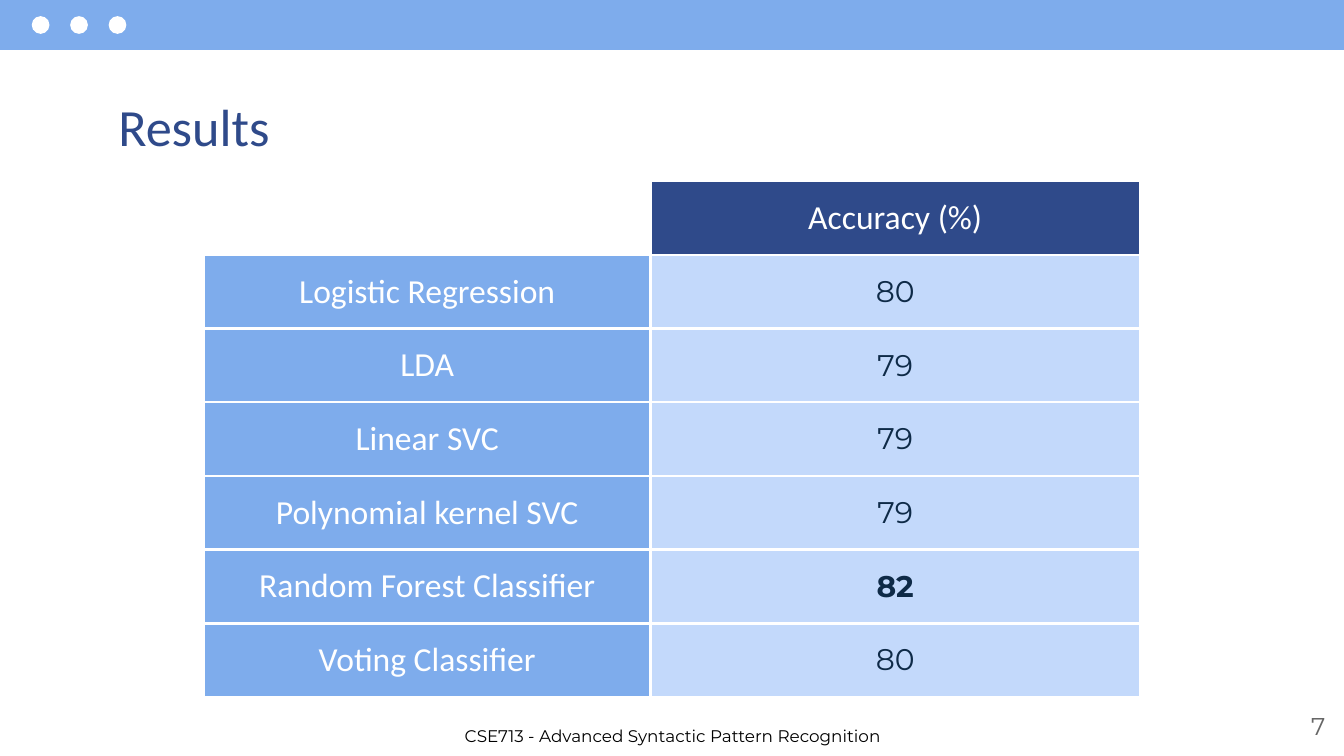
import dataclasses

import pptx
import pptx.dml.color
import pptx.enum.shapes
import pptx.enum.text
import pptx.oxml
import pptx.oxml.ns
import pptx.util
from pptx.util import Pt

ALIGN = pptx.enum.text.PP_ALIGN
ANCHOR = pptx.enum.text.MSO_ANCHOR
SHAPE = pptx.enum.shapes.MSO_SHAPE


@dataclasses.dataclass(frozen=True)
class Theme:
    white: str = "FFFFFF"
    black: str = "000000"
    sky: str = "7EACEC"
    pale: str = "C3D9FB"
    navy: str = "2F4A8A"
    ink: str = "0E2A47"
    grey: str = "666666"
    heading: str = "Calibri"
    body: str = "Montserrat"
    title_size: float = 28
    label_size: float = 18
    value_size: float = 16
    number_size: float = 13
    footer_size: float = 9
    inset: float = 7.2
    border: float = 1.5


THEME = Theme()
RESULTS = [
    ("Logistic Regression", 80),
    ("LDA", 79),
    ("Linear SVC", 79),
    ("Polynomial kernel SVC", 79),
    ("Random Forest Classifier", 82),
    ("Voting Classifier", 80),
]


def rgb(color):
    return pptx.dml.color.RGBColor.from_string(color)


def write(tf, text, font, size, color, align=ALIGN.LEFT, bold=False):
    tf.text = text
    p = tf.paragraphs[0]
    p.alignment = align
    r = p.runs[0]
    r.font.name = font
    r.font.size = Pt(size)
    r.font.bold = bold
    r.font.color.rgb = rgb(color)


def set_insets(target):
    for side in ("left", "top", "right", "bottom"):
        setattr(target, f"margin_{side}", Pt(THEME.inset))


def add_text(s, box, *args, **kwargs):
    sp = s.shapes.add_textbox(*map(Pt, box))
    tf = sp.text_frame
    tf.word_wrap = True
    set_insets(tf)
    write(tf, *args, **kwargs)


def add_filled(s, kind, box, color):
    sp = s.shapes.add_shape(kind, *map(Pt, box))
    sp.shadow.inherit = False
    sp.fill.solid()
    sp.fill.fore_color.rgb = rgb(color)
    sp.line.fill.background()


def add_window_bar(s, left, top, width, height):
    add_filled(s, SHAPE.RECTANGLE, (left, top, width, height), THEME.sky)
    dot, pitch = 9.5, 20.6
    for i in range(3):
        box = (left + 17 + i * pitch, top + (height - dot) / 2, dot, dot)
        add_filled(s, SHAPE.OVAL, box, THEME.white)


def add_title(s, left, top, width, height, text):
    sp = s.shapes.title
    sp.left, sp.top, sp.width, sp.height = map(Pt, (left, top, width, height))
    tf = sp.text_frame
    tf.vertical_anchor = ANCHOR.TOP
    tf.auto_size = pptx.enum.text.MSO_AUTO_SIZE.NONE
    set_insets(tf)
    write(tf, text, THEME.heading, THEME.title_size, THEME.navy)


def add_borders(cell):
    tc_pr = cell._tc.get_or_add_tcPr()
    for i, edge in enumerate(("lnL", "lnR", "lnT", "lnB")):
        tc_pr.insert(i, pptx.oxml.parse_xml(
            f'<a:{edge} {pptx.oxml.ns.nsdecls("a")} w="{Pt(THEME.border)}">'
            f'<a:solidFill><a:srgbClr val="{THEME.white}"/></a:solidFill></a:{edge}>'))


def style_cell(cell, text, fill, font, size, color, bold=False):
    cell.vertical_anchor = ANCHOR.MIDDLE
    set_insets(cell)
    cell.fill.solid()
    cell.fill.fore_color.rgb = rgb(fill)
    write(cell.text_frame, text, font, size, color, ALIGN.CENTER, bold)


def add_results_table(s, left, top, width, height, results):
    rows = len(results) + 1
    table = s.shapes.add_table(rows, 2, *map(Pt, (left, top, width, height))).table
    table.first_row = table.horz_banding = False
    label_width = 239
    table.columns[0].width = Pt(label_width)
    table.columns[1].width = Pt(width - label_width)
    for row in table.rows:
        row.height = Pt(height / rows)

    label = (THEME.heading, THEME.label_size, THEME.white)
    value = (THEME.body, THEME.value_size, THEME.ink)
    best = max(score for _, score in results)
    table.cell(0, 0).fill.background()
    style_cell(table.cell(0, 1), "Accuracy (%)", THEME.navy, *label)
    for i, (name, score) in enumerate(results, start=1):
        style_cell(table.cell(i, 0), name, THEME.sky, *label)
        style_cell(table.cell(i, 1), str(score), THEME.pale, *value, bold=score == best)
    for cell in table.iter_cells():
        add_borders(cell)


def add_footer(s, left, top, width, height, text, number):
    add_text(s, (left, top + 9.4, 269.3, height - 9.4), text,
             THEME.body, THEME.footer_size, THEME.black)
    number_width = 43.2
    add_text(s, (left + width - number_width, top, number_width, height), str(number),
             THEME.body, THEME.number_size, THEME.grey, align=ALIGN.RIGHT)


def main():
    prs = pptx.Presentation()
    prs.slide_width, prs.slide_height = Pt(720), Pt(405)
    s = prs.slides.add_slide(prs.slide_layouts[5])
    add_window_bar(s, 0, 0, 720, 26.8)
    add_title(s, 56.2, 43.2, 607.7, 36.7, "Results")
    add_results_table(s, 109.4, 97, 501.4, 276.5, RESULTS)
    add_footer(s, 241.9, 373.7, 475.2, 31,
               "CSE713 - Advanced Syntactic Pattern Recognition", 7)
    prs.save("out.pptx")


if __name__ == "__main__":
    main()
